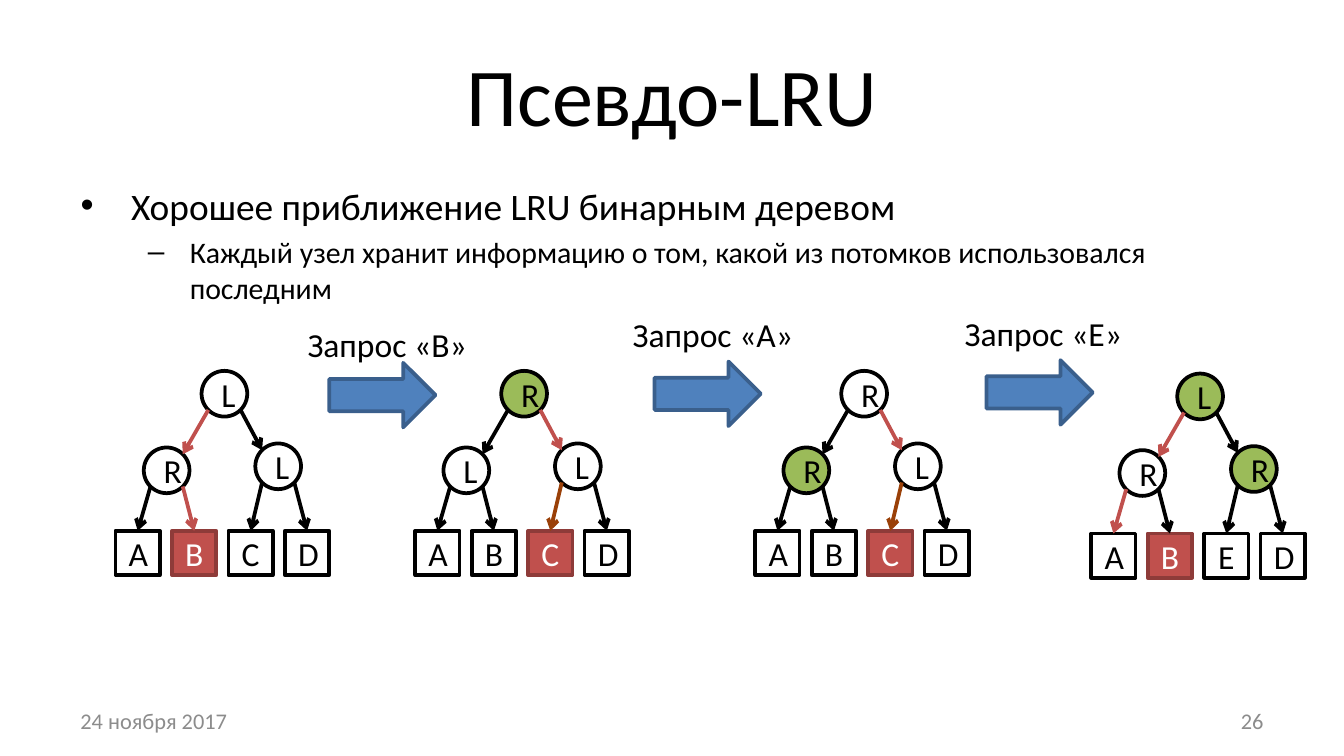
import pptx
import pptx.dml.color
import pptx.enum.shapes
import pptx.enum.text
import pptx.oxml
import pptx.util
from pptx.util import Inches

RGB = pptx.dml.color.RGBColor
SHAPE = pptx.enum.shapes.MSO_SHAPE
ALIGN = pptx.enum.text.PP_ALIGN
ANCHOR = pptx.enum.text.MSO_ANCHOR
FIT = pptx.enum.text.MSO_AUTO_SIZE

BLACK = RGB(0x00, 0x00, 0x00)
WHITE = RGB(0xFF, 0xFF, 0xFF)
GRAY = RGB(0x8C, 0x8C, 0x8C)
RED = RGB(0xC0, 0x50, 0x4D)
MAROON = RGB(0x8E, 0x3B, 0x39)
BROWN = RGB(0x9A, 0x40, 0x08)
GREEN = RGB(0x9B, 0xBB, 0x59)
BLUE = RGB(0x4F, 0x81, 0xBD)
NAVY = RGB(0x3A, 0x5F, 0x8C)

WIDE = Inches(10)
HIGH = WIDE * 9 // 16

NODE = 0.34
LEAF = 0.33
LEAF_STEP = 0.42
LEAF_DROP = 1.19
NODES = [(0.64, 0), (0.21, 0.57), (1.04, 0.54)]  # root, left, right
NEAR, FAR = 0.05, 0.29  # diagonal points of a circle within its box

# left, top, node letters, green nodes, leaf letters, red leaf, edge colours
# Edges: 0 and 1 leave the root, 2 to 5 end at the leaves
TREES = [
    (0.86, 2.76, "LRL", [], "ABCD", 1, {0: RED, 3: RED}),
    (3.09, 2.76, "RLL", [0], "ABCD", 2, {1: RED, 4: BROWN}),
    (5.62, 2.76, "RRL", [1], "ABCD", 2, {1: RED, 4: BROWN}),
    (8.12, 2.78, "LRR", [0, 2], "ABED", 1, {0: RED, 2: RED}),
]

# letter, arrow left, arrow top, label top
QUERIES = [("B", 2.45, 2.7, 2.36), ("A", 4.87, 2.69, 2.29), ("E", 7.34, 2.68, 2.28)]


def set_all(item, values):
    for name, value in values.items():
        setattr(item, name, value)


def style(para, size, color=BLACK, align=None):
    if align is not None:
        para.alignment = align
    set_all(para.font, {"name": "Calibri", "size": pptx.util.Pt(size)})
    para.font.color.rgb = color


def place(shape, left, top, width, height):
    set_all(shape, {"left": Inches(left), "top": Inches(top),
                    "width": Inches(width), "height": Inches(height)})


def add_block(group, kind, box, fill, line, text="", color=BLACK):
    block = group.shapes.add_shape(kind, *map(Inches, box))
    block.shadow.inherit = False
    block.fill.solid()
    block.fill.fore_color.rgb = fill
    block.line.color.rgb = line
    block.line.width = pptx.util.Pt(2)
    if text:
        frame = block.text_frame
        frame.text = text
        frame.vertical_anchor = ANCHOR.MIDDLE
        style(frame.paragraphs[0], 18, color, ALIGN.CENTER)
    return block


def add_edge(group, start, end, color):
    edge = group.shapes.add_connector(
        pptx.enum.shapes.MSO_CONNECTOR.STRAIGHT, *map(Inches, start + end))
    edge.line.color.rgb = color
    edge.line.width = pptx.util.Pt(2)
    space = pptx.oxml.ns.nsdecls("a")
    edge.line._get_or_add_ln().append(
        pptx.oxml.parse_xml(f'<a:tailEnd {space} type="arrow"/>'))
    edge._element.spPr.append(pptx.oxml.parse_xml(f"<a:effectLst {space}/>"))
    return edge


def add_tree(slide, left, top, letters, greens, names, hot, colors):
    group = slide.shapes.add_group_shape()
    spots = [(left + x, top + y) for x, y in NODES]
    for i, (x, y) in enumerate(spots):
        fill = GREEN if i in greens else WHITE
        add_block(group, SHAPE.OVAL, (x, y, NODE, NODE), fill, BLACK, letters[i])

    leaves = []
    for i, name in enumerate(names):
        box = (left + i * LEAF_STEP, top + LEAF_DROP, LEAF, LEAF)
        looks = (RED, MAROON, name, WHITE) if i == hot else (WHITE, BLACK, name)
        leaves.append(add_block(group, SHAPE.RECTANGLE, box, *looks))

    def spot(node, dx, dy):
        x, y = spots[node]
        return x + dx, y + dy

    for i, (out, into) in enumerate([(NEAR, FAR), (FAR, NEAR)]):
        add_edge(group, spot(0, out, FAR), spot(i + 1, into, NEAR),
                 colors.get(i, BLACK))
    for i, leaf in enumerate(leaves):
        start = spot(1 + i // 2, FAR if i % 2 else NEAR, FAR)
        edge = add_edge(group, start, start, colors.get(i + 2, BLACK))
        edge.end_connect(leaf, 0)


def add_label(owner, text, box, size, color=BLACK, align=None, **values):
    label = owner.shapes.add_textbox(*map(Inches, box))
    set_all(label.text_frame, {"text": text, **values})
    style(label.text_frame.paragraphs[0], size, color, align)


def add_query(slide, letter, left, top, label_top):
    group = slide.shapes.add_group_shape()
    add_block(group, SHAPE.RIGHT_ARROW, (left, top, 0.79, 0.48), BLUE, NAVY)
    add_label(group, f"Запрос «{letter}»", (left - 0.26, label_top, 1.4, 0.4),
              18, word_wrap=False, auto_size=FIT.SHAPE_TO_FIT_TEXT)


def add_heads(slide):
    title, body = slide.placeholders
    place(title, 0.5, 0.23, 9, 0.94)
    title.text_frame.text = "Псевдо-LRU"
    style(title.text_frame.paragraphs[0], 44)

    place(body, 0.5, 1.31, 9, 1.18)
    body.text_frame.text = (
        "Хорошее приближение LRU бинарным деревом\n"
        "Каждый узел хранит информацию о том, какой из потомков "
        "использовался последним")
    body.text_frame.auto_size = FIT.NONE
    for level, (para, size) in enumerate(zip(body.text_frame.paragraphs, (20, 16))):
        para.level = level
        style(para, size)


def main():
    deck = pptx.Presentation()
    set_all(deck, {"slide_width": WIDE, "slide_height": HIGH})
    slide = deck.slides.add_slide(deck.slide_layouts[1])
    add_heads(slide)
    for tree in TREES:
        add_tree(slide, *tree)
    for query in QUERIES:
        add_query(slide, *query)
    foot = {"word_wrap": True, "vertical_anchor": ANCHOR.MIDDLE}
    add_label(slide, "24 ноября 2017", (0.5, 5.21, 2.33, 0.3), 12, GRAY, **foot)
    add_label(slide, "26", (7.17, 5.21, 2.33, 0.3), 12, GRAY, ALIGN.RIGHT, **foot)
    deck.save("out.pptx")


if __name__ == "__main__":
    main()
